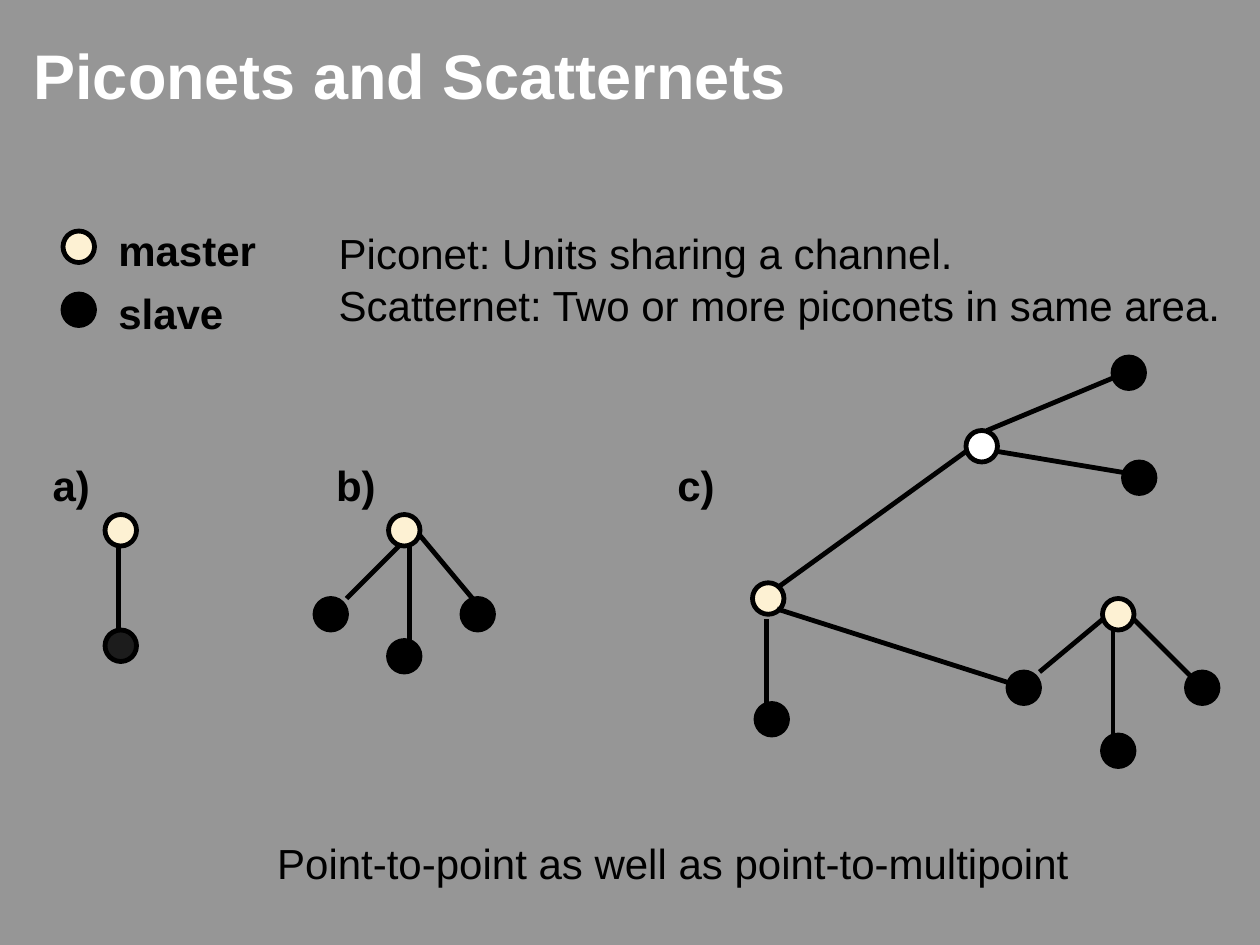
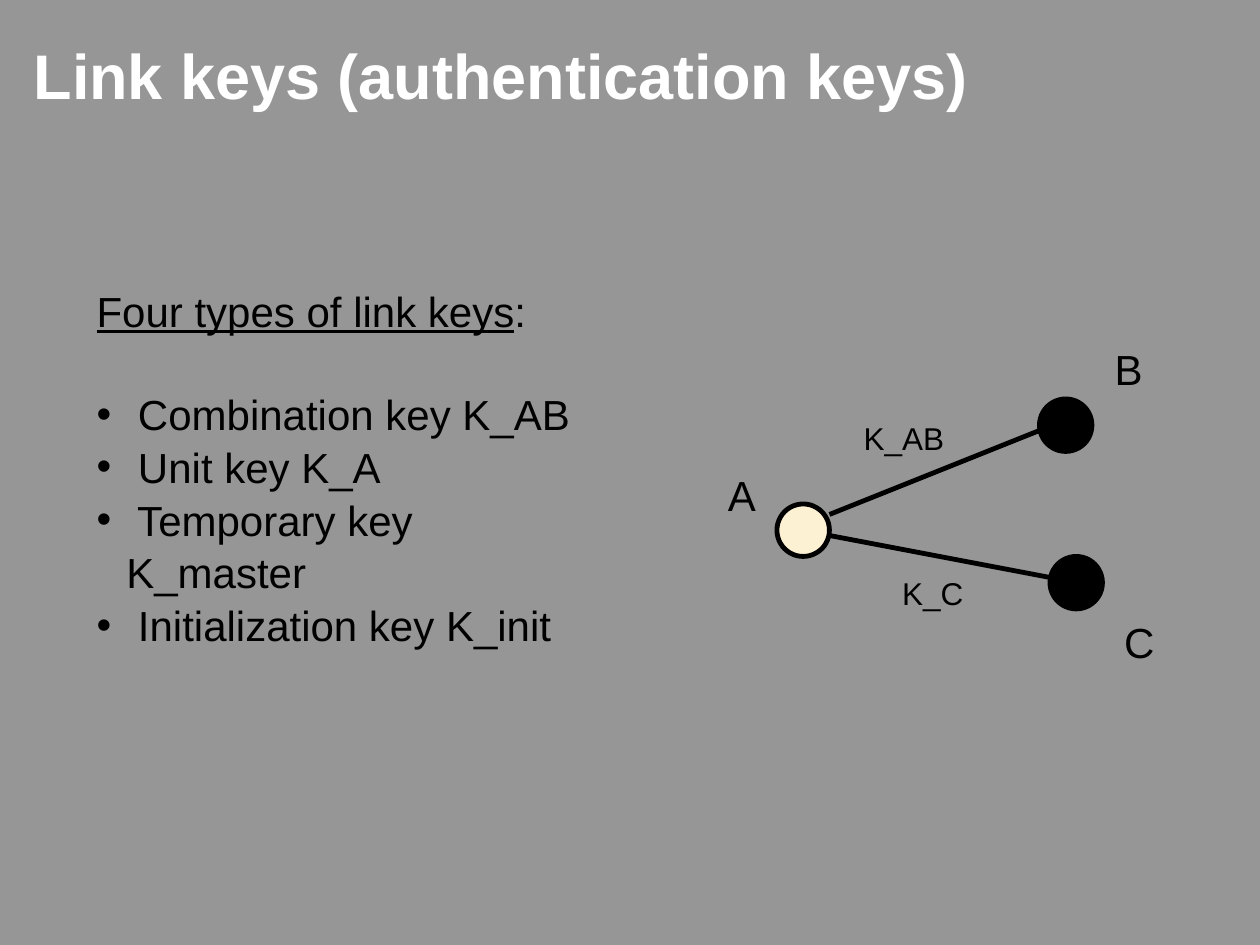
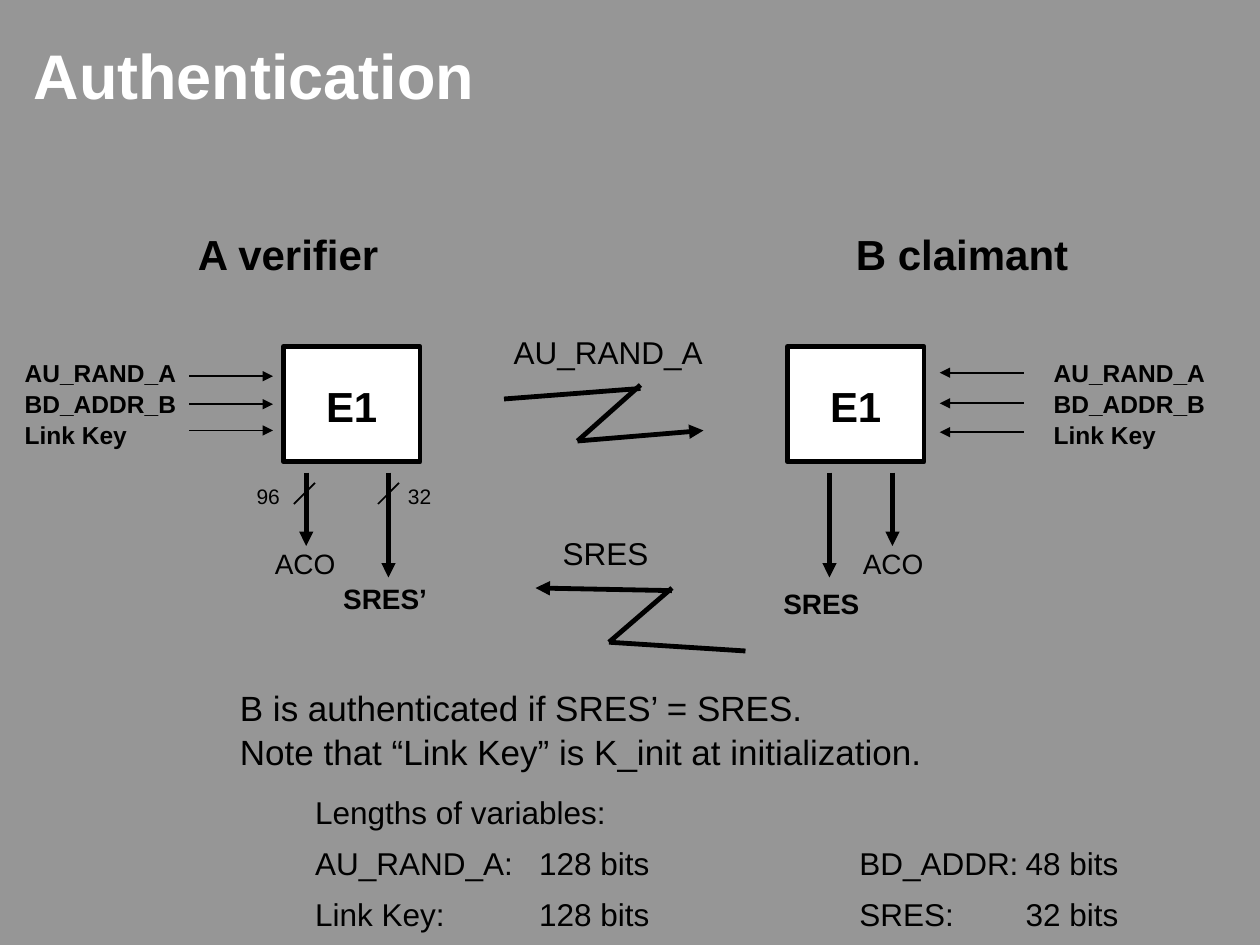
from lxml import etree
from pptx import Presentation
from pptx.dml.color import RGBColor
from pptx.enum import shapes, text
from pptx.oxml import ns
from pptx.util import Pt

COLORS = {"back": "969696", "title": "FFFFFF", "ink": "000000",
          "master": "FDF1D3", "box": "FFFFFF", "dim": "1C1C1C"}
FONT = "Arial"
LINE = 1.05
LEFT, CENTER = text.PP_ALIGN.LEFT, text.PP_ALIGN.CENTER
INPUTS = "AU_RAND_A\nBD_ADDR_B\nLink Key"


def rgb(name):
    """Return a named colour."""
    return RGBColor.from_string(COLORS[name])


def sub(parent, tag, **attrs):
    """Append a drawing element to a parent."""
    return etree.SubElement(parent, ns.qn(tag), attrs)


def place(sp, x, y, w, h):
    """Move and size a shape."""
    sp.left, sp.top, sp.width, sp.height = Pt(x), Pt(y), Pt(w), Pt(h)


def format_frame(tf, size, color="ink", bold=False, align=LEFT, spacing=LINE):
    """Format all paragraphs and runs of a text frame."""
    tf.word_wrap = True
    tf.auto_size = text.MSO_AUTO_SIZE.NONE
    tf.vertical_anchor = text.MSO_ANCHOR.MIDDLE
    for i, p in enumerate(tf.paragraphs):
        p.alignment = align
        p.space_before = Pt(0)
        p.line_spacing = spacing if i else min(spacing, 1.15)
        for r in p.runs:
            r.font.name, r.font.size, r.font.bold = FONT, Pt(size), bold
            r.font.color.rgb = rgb(color)


def new_slide(prs, title, layout=5):
    """Add a slide with its formatted title."""
    s = prs.slides.add_slide(prs.slide_layouts[layout])
    sp = s.shapes.title
    place(sp, 12, 12, 594, 54)
    sp.text_frame.text = title
    format_frame(sp.text_frame, 36, "title", True, spacing=1.15)
    return s


def label(s, words, x, y, w, h, size=24, bold=False, align=LEFT,
          spacing=LINE, tabs=()):
    """Add a text box with optional tab stops."""
    tf = s.shapes.add_textbox(Pt(x), Pt(y), Pt(w), Pt(h)).text_frame
    tf.text = words
    for p in tf.paragraphs if tabs else ():
        stops = sub(p._p.get_or_add_pPr(), "a:tabLst")
        for stop in tabs:
            sub(stops, "a:tab", pos=str(Pt(stop)), algn="l")
    format_frame(tf, size, bold=bold, align=align, spacing=spacing)


def block(s, kind, x, y, w, h, fill):
    """Add an outlined preset shape."""
    sp = s.shapes.add_shape(kind, Pt(x), Pt(y), Pt(w), Pt(h))
    sp.shadow.inherit = False
    sp.fill.solid()
    sp.fill.fore_color.rgb = rgb(fill)
    sp.line.color.rgb = rgb("ink")
    sp.line.width = Pt(2.75)
    return sp


def edge(s, x1, y1, x2, y2, width=2.75, arrow=False):
    """Add a straight line, with an arrowhead at its end if asked."""
    c = s.shapes.add_connector(shapes.MSO_CONNECTOR.STRAIGHT,
                               Pt(x1), Pt(y1), Pt(x2), Pt(y2))
    c.line.color.rgb = rgb("ink")
    c.line.width = Pt(width)
    if arrow:
        sub(c.line._get_or_add_ln(), "a:tailEnd", type="triangle")
    sub(c._element.spPr, "a:effectLst")


def network(s, x, y, nodes, edges, size=18):
    """Draw nodes and their links relative to a corner."""
    for nx, ny, fill in nodes:
        block(s, shapes.MSO_SHAPE.OVAL, x + nx, y + ny, size, size, fill)
    for x1, y1, x2, y2 in edges:
        edge(s, x + x1, y + y1, x + x2, y + y2)


def legend(s, x, y):
    """Draw the key to the node colours."""
    network(s, x, y, [(0, 0, "master"), (0, 36, "ink")], [])
    label(s, "master\nslave", x + 24.5, y - 9, 93, 71, bold=True, spacing=1.25)


def link_keys(s, x, y):
    """Draw unit A with its keyed links to B and C."""
    network(s, x, y,
            [(186, 36, "ink"), (36, 96, "master"), (192, 126, "ink")],
            [(66, 102, 186, 54), (66, 114, 192, 138)], 30)
    for name, lx, ly in [("A", -1, 72), ("B", 220, 0), ("C", 226, 156)]:
        label(s, name, x + lx, y + ly, 34, 36, align=CENTER)
    for name, lx, ly, w in [("K_AB", 77, 43, 63), ("K_C", 99, 132, 52)]:
        label(s, name, x + lx, y + ly, w, 29, 18, align=CENTER)


def key_list(sp, x, y, w, h, heading, items):
    """Fill the body placeholder with an underlined heading and bullets."""
    place(sp, x, y, w, h)
    tf = sp.text_frame
    tf.text = "\n".join([heading] + items)
    first, *rest = tf.paragraphs
    pPr = first._p.get_or_add_pPr()
    pPr.set("marL", "0")
    pPr.set("indent", "0")
    sub(pPr, "a:buNone")
    first.add_run().text = ":"
    for p in rest:
        pPr = p._p.get_or_add_pPr()
        pPr.set("marL", str(Pt(17)))
        pPr.set("indent", str(-Pt(17)))
        sub(pPr, "a:buFont", typeface=FONT)
        sub(pPr, "a:buChar", char="•")
    format_frame(tf, 24)
    first.runs[0].font.underline = True
    rest[0].space_before = Pt(28.8)


def party(s, x, y, input_x, arrow_from, arrow_to, arrow_ys, outputs):
    """Draw an E1 box with its inputs and outputs."""
    sp = block(s, shapes.MSO_SHAPE.RECTANGLE, x, y, 78, 66, "box")
    sp.text_frame.text = "E1"
    format_frame(sp.text_frame, 24, bold=True, align=CENTER)
    label(s, INPUTS, x + input_x, y + 3.5, 103, 58, 14, True)
    for ay in arrow_ys:
        edge(s, x + arrow_from, y + ay, x + arrow_to, y + ay, 1, True)
    for name, ox, end, lx, ly, w, bold in outputs:
        edge(s, x + ox, y + 72, x + ox, y + end, arrow=True)
        label(s, name, x + lx, y + ly, w, 27, 16, bold)


def signal(s, x, y, name, w, strokes):
    """Draw a named zigzag signal whose last stroke has the arrowhead."""
    label(s, name, x, y, w, 29, 18)
    for i, (x1, y1, x2, y2) in enumerate(strokes, 1):
        edge(s, x + x1, y + y1, x + x2, y + y2, arrow=i == len(strokes))


def piconet_slide(prs):
    """Build the slide on piconets."""
    s = new_slide(prs, "Piconets and Scatternets")
    legend(s, 36, 132)
    network(s, 60, 294, [(0, 0, "master"), (0, 66, "dim")], [(7.5, 18, 7.5, 66)])
    network(s, 180, 294,
            [(42, 0, "master"), (0, 48, "ink"), (84, 48, "ink"), (42, 72, "ink")],
            [(18, 48, 48, 18), (54, 18, 54, 72), (60, 12, 90, 48)])
    network(s, 430, 204,
            [(206, 0, "ink"), (122, 42, "box"), (2, 198, "ink"),
             (0, 129, "master"), (200, 216, "ink"), (248, 180, "ink"),
             (146, 180, "ink"), (200, 138, "master"), (212, 60, "ink")],
            [(8, 150, 8, 198), (14, 132, 122, 54), (134, 42, 206, 12),
             (140, 54, 212, 66), (14, 144, 146, 186), (164, 180, 200, 150),
             (206, 216, 206, 156), (218, 150, 254, 186)])
    label(s, "a)\tb)\tc)", 23, 258, 440, 36, bold=True, tabs=(162, 357))
    label(s, "Piconet: Units sharing a channel.\n"
             "Scatternet: Two or more piconets in same area.", 186.5, 126, 521, 65)
    label(s, "Point-to-point as well as point-to-multipoint",
          150, 474, 469, 36, align=CENTER)


def key_slide(prs):
    """Build the slide on link keys."""
    s = new_slide(prs, "Link keys (authentication keys)", 1)
    key_list(s.placeholders[1], 48, 176.5, 299, 180, "Four types of link keys",
             [" Combination key K_AB", " Unit key K_A",
              " Temporary key K_master", " Initialization key K_init"])
    link_keys(s, 408, 192)


def authentication_slide(prs):
    """Build the slide on authentication."""
    s = new_slide(prs, "Authentication")
    label(s, "A verifier\tB claimant", 106, 126, 514, 36, bold=True, tabs=(376,))
    party(s, 162, 198, -155, -54, -6, (17, 33, 48),
          [("ACO", 13, 114, -12, 110, 52, False),
           ("SRES’", 60, 132, 27, 130, 65, True)])
    party(s, 450, 198, 145, 135, 87, (15, 32.5, 49),
          [("SRES", 24, 132, -9.5, 133, 60, True),
           ("ACO", 60, 114, 36, 110, 52, False)])
    for x in (168, 216):
        edge(s, x, 288, x + 12, 276, 1)
    label(s, "96\t32", 139.5, 272, 115, 22, 12, tabs=(86.5,))
    signal(s, 286.5, 186, "AU_RAND_A", 125,
           [(1.5, 42, 79.5, 36), (43.5, 66, 79.5, 34), (43.5, 66, 115.5, 60)])
    signal(s, 314.5, 301, "SRES", 66,
           [(33.5, 66, 69.5, 35), (33.5, 66, 111.5, 71), (69.5, 36.5, -8.5, 35)])
    label(s, "B is authenticated if SRES’ = SRES.\n"
             "Note that “Link Key” is K_init at initialization.",
          130, 389, 406, 55, 20)
    label(s, "Lengths of variables:\n"
             "AU_RAND_A:\t128 bits\tBD_ADDR:\t48 bits\n"
             "Link Key:\t128 bits\tSRES:\t32 bits",
          173, 449, 476, 85, 18, spacing=1.36, tabs=(128, 311, 406))


def main():
    """Build and save the presentation."""
    prs = Presentation()
    prs.slide_width, prs.slide_height = Pt(720), Pt(540)
    fill = prs.slide_master.background.fill
    fill.solid()
    fill.fore_color.rgb = rgb("back")
    piconet_slide(prs)
    key_slide(prs)
    authentication_slide(prs)
    prs.save("out.pptx")


if __name__ == "__main__":
    main()
